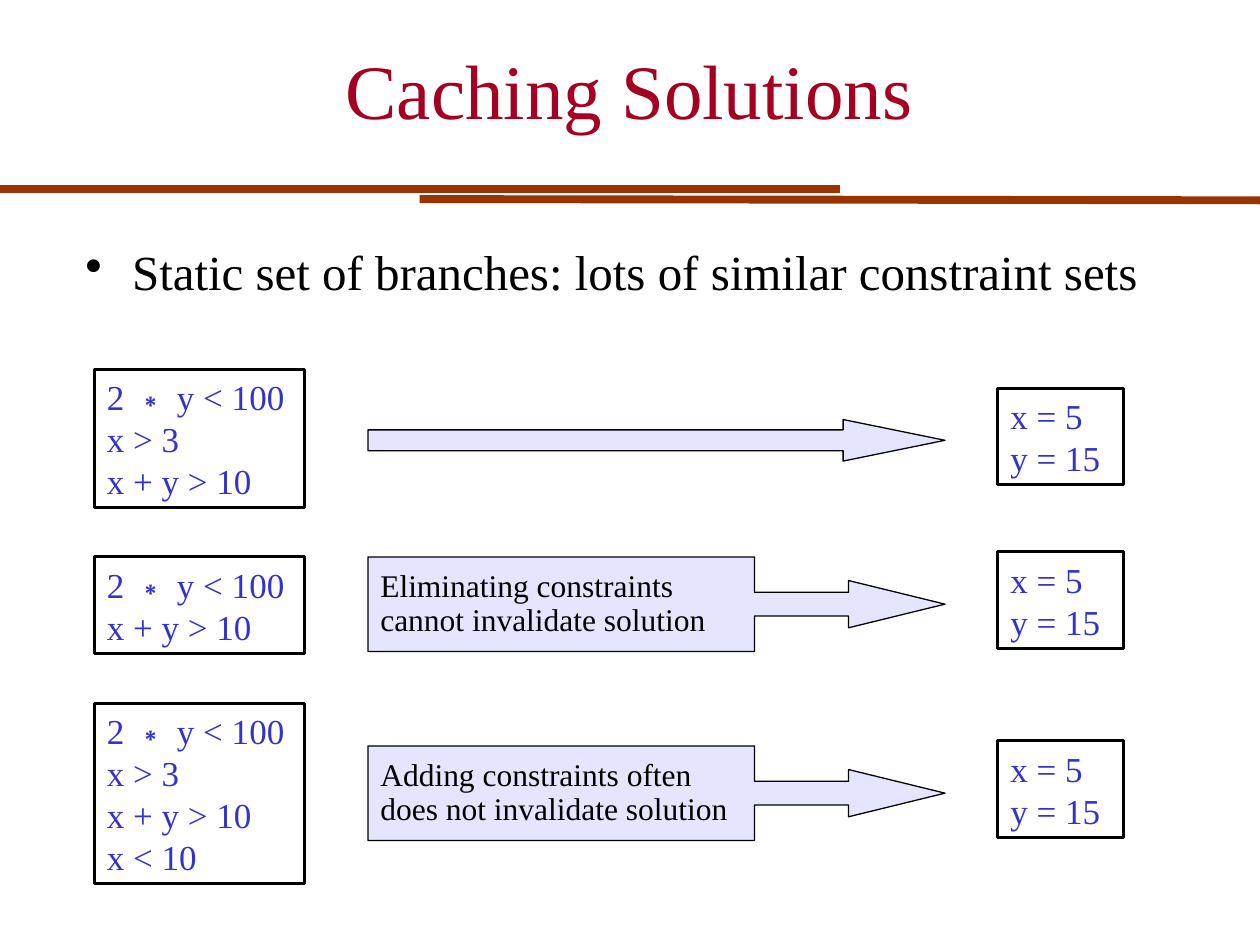
from lxml import etree
from pptx import Presentation
from pptx import util as u
from pptx.dml.color import RGBColor
from pptx.enum import shapes, text
from pptx.oxml.ns import qn

COLORS = {"title": "A50021", "rule": "993300", "ink": "000000",
          "formula": "3333CC", "arrow": "CCCCFF"}
SERIF = "Times New Roman"
SHAPE = shapes.MSO_SHAPE


def add_run(paragraph, words, size, color, font=SERIF):
    run = paragraph.add_run()
    run.text = words
    run.font.size = u.Pt(size)
    run.font.name = font
    run.font.color.rgb = RGBColor.from_string(COLORS[color])


def add_outlined(kind, left, top, width, height, line_width, filled):
    shape = slide.shapes.add_shape(kind, u.Inches(left), u.Inches(top),
                                   u.Inches(width), u.Inches(height))
    shape.shadow.inherit = False
    shape.line.color.rgb = RGBColor.from_string(COLORS["ink"])
    shape.line.width = u.Pt(line_width)
    if filled:
        shape.fill.solid()
        shape.fill.fore_color.rgb = RGBColor.from_string(COLORS["arrow"])
        tint = shape.fill._xPr.find(qn("a:solidFill"))[0]
        etree.SubElement(tint, qn("a:alpha"), val="50000")
    else:
        shape.fill.background()
    return shape


prs = Presentation()
prs.slide_width, prs.slide_height = u.Inches(10), u.Inches(7.5)
slide = prs.slides.add_slide(prs.slide_layouts[5])

for x1, y1, x2, y2 in [(0, 1.5, 6.67, 1.5), (3.33, 1.58, 10, 1.59)]:
    rule = slide.shapes.add_connector(
        shapes.MSO_CONNECTOR.STRAIGHT,
        u.Inches(x1), u.Inches(y1), u.Inches(x2), u.Inches(y2))
    rule.line.color.rgb = RGBColor.from_string(COLORS["rule"])
    rule.line.width = u.Pt(4.5)
    etree.SubElement(rule._element.spPr, qn("a:effectLst"))

title = slide.shapes.title
title.left, title.top = u.Inches(0.58), u.Inches(0.08)
title.width, title.height = u.Inches(8.83), u.Inches(1.25)
title.text_frame.vertical_anchor = text.MSO_ANCHOR.MIDDLE
heading = title.text_frame.paragraphs[0]
heading.alignment = text.PP_ALIGN.CENTER
add_run(heading, "Caching Solutions", 44, "title")

claim = slide.shapes.add_textbox(u.Inches(0.58), u.Inches(1.92),
                                 u.Inches(8.83), u.Inches(0.75))
claim.text_frame.word_wrap = True
point = claim.text_frame.paragraphs[0]
point.line_spacing = 0.9
point.space_before = u.Pt(17.5)
add_run(point, "Static set of branches: lots of similar constraint sets", 28, "ink")
props = point._p.get_or_add_pPr()
props.set("marL", str(u.Inches(0.37)))
props.set("indent", str(-u.Inches(0.37)))
bullet_color = etree.SubElement(props, qn("a:buClr"))
etree.SubElement(bullet_color, qn("a:srgbClr"), val=COLORS["ink"])
etree.SubElement(props, qn("a:buChar"), char="•")

product = [("2 ", SERIF), ("∗", "Arial"), (" y < 100", SERIF)]
lower_x, total, upper_x, x_value, y_value = [
    [(line, SERIF)] for line in ("x > 3", "x + y > 10", "x < 10", "x = 5", "y = 15")]
solution = [x_value, y_value]

cases = [
    (2.93, [product, lower_x, total], 3.08, 3.33, []),
    (4.42, [product, total], 4.38, 4.42,
     ["Eliminating constraints", "cannot invalidate solution"]),
    (5.58, [product, lower_x, total, upper_x], 5.88, 5.92,
     ["Adding constraints often", "does not invalidate solution"]),
]

for constraints_top, constraints, solution_top, arrow_top, reason in cases:
    for left, top, width, formulas in [(0.75, constraints_top, 1.67, constraints),
                                       (7.92, solution_top, 1, solution)]:
        box = add_outlined(SHAPE.RECTANGLE, left, top, width,
                           0.1 + len(formulas) / 3, 1.75, False)
        frame = box.text_frame
        frame.word_wrap = True
        frame.auto_size = text.MSO_AUTO_SIZE.SHAPE_TO_FIT_TEXT
        frame.vertical_anchor = text.MSO_ANCHOR.TOP
        for i, formula in enumerate(formulas):
            row = frame.add_paragraph() if i else frame.paragraphs[0]
            row.alignment = text.PP_ALIGN.LEFT
            for words, font in formula:
                add_run(row, words, 20, "formula", font)

    if reason:
        kind, height, adjustments = (SHAPE.RIGHT_ARROW_CALLOUT, 0.75,
                                     [0.25, 0.25, 1.02, 0.67])
    else:
        kind, height, adjustments = SHAPE.RIGHT_ARROW, 0.33, [0.5, 2.45]
    arrow = add_outlined(kind, 2.92, arrow_top, 4.58, height, 0.75, True)
    for i, value in enumerate(adjustments):
        arrow.adjustments[i] = value
    frame = arrow.text_frame
    frame.word_wrap = False
    frame.vertical_anchor = text.MSO_ANCHOR.MIDDLE
    for i, words in enumerate(reason):
        row = frame.add_paragraph() if i else frame.paragraphs[0]
        row.alignment = text.PP_ALIGN.LEFT
        row.line_spacing = 0.9
        add_run(row, words, 18, "ink")

prs.save("out.pptx")
